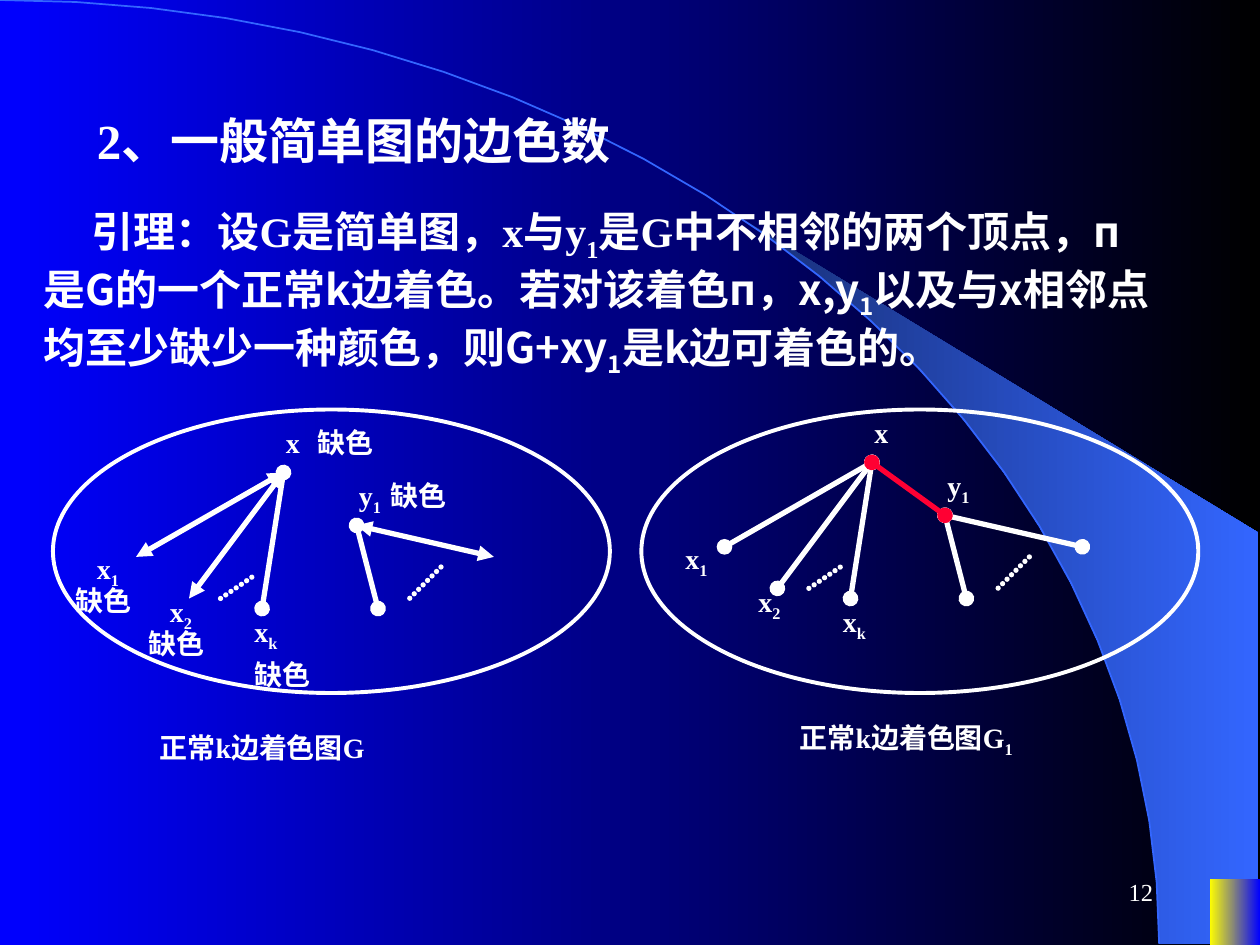
from math import acos, cos, pi, sin

from lxml.etree import SubElement
from pptx import Presentation
from pptx.dml.color import RGBColor
from pptx.enum.shapes import MSO_CONNECTOR as CONN, MSO_SHAPE as SHAPE
from pptx.enum.text import MSO_ANCHOR as ANCHOR, PP_ALIGN as ALIGN
from pptx.oxml.ns import qn
from pptx.util import Inches, Pt

WHITE = RGBColor(0xFF, 0xFF, 0xFF)
BLACK = RGBColor(0x00, 0x00, 0x00)
BLUE = RGBColor(0x00, 0x00, 0xFF)
YELLOW = RGBColor(0xFF, 0xFF, 0x00)
RED = RGBColor(0xFF, 0x00, 0x33)
NAVY = RGBColor(0x18, 0x2F, 0x76)
SKY = RGBColor(0x33, 0x66, 0xFF)
SERIF, SANS = "Times New Roman", "Noto Sans CJK SC"

# Graph geometry, in inches from the corner of the ellipse's box
VERTICES = {"x": (1.83, 0.5), "x1": (0.66, 1.17), "x2": (1.08, 1.5), "xk": (1.66, 1.58),
            "y1": (2.41, 0.92), "right": (3.5, 1.17), "low": (2.58, 1.58)}
EDGES = [("x", "x1"), ("x", "x2"), ("y1", "right"), ("y1", "low"), ("x", "xk")]
ARROW_EDGES = EDGES[:3]
DOTTED = [((1.33, 1.5), (1.58, 1.33)), ((3.08, 1.25), (2.83, 1.5))]
LABELS = [("x", "1", 0.25, 1.08), ("y", "1", 2.33, 0.5), ("x", "", 1.75, 0.08),
          ("x", "2", 0.83, 1.42), ("x", "k", 1.5, 1.58)]
MISSING = [(2, 0.08), (2.58, 0.5), (0.08, 1.33), (0.66, 1.67), (1.5, 1.92)]


def set_gradient(fill, start, end):
    fill.gradient()
    fill.gradient_angle = 0
    for stop, color, pos in zip(fill.gradient_stops, (start, end), (0, 1)):
        stop.color.rgb = color
        stop.position = pos


def add_text(sl, box, runs, size=16, bold=True, indent=0, spacing=None, align=ALIGN.LEFT):
    """Each run is (text, is_subscript, latin font)."""
    tf = sl.shapes.add_textbox(*map(Inches, box)).text_frame
    tf.word_wrap = True
    p = tf.paragraphs[0]
    p.alignment = align
    if spacing:
        p.line_spacing = Pt(spacing)
    pPr = p._p.get_or_add_pPr()
    pPr.set("hangingPunct", "0")
    if indent:
        pPr.set("indent", str(Inches(indent)))
    for text, is_sub, font in runs:
        r = p.add_run()
        r.text = text
        for name, value in {"size": Pt(size), "bold": bold, "name": font}.items():
            setattr(r.font, name, value)
        r.font.color.rgb = WHITE
        rPr = r._r.get_or_add_rPr()
        SubElement(rPr, qn("a:ea")).set("typeface", SANS)
        if is_sub:
            rPr.set("baseline", "-25000")
    return tf


def add_line(sl, start, end, color=WHITE, ends=None, dotted=False):
    ln = sl.shapes.add_connector(CONN.STRAIGHT, *map(Inches, (*start, *end)))
    ln.line.color.rgb = color
    ln.line.width = Pt(3)
    xml = ln.line._get_or_add_ln()
    if dotted:
        xml.set("cap", "rnd")
        dash = SubElement(SubElement(xml, qn("a:custDash")), qn("a:ds"))
        dash.set("d", "100000")
        dash.set("sp", "20000")
    if ends:
        for tag in ("a:headEnd", "a:tailEnd"):
            SubElement(xml, qn(tag)).set("type", ends)
    SubElement(ln._element.spPr, qn("a:effectLst"))


def draw_curve(sl, points, close):
    pts = [(Inches(x), Inches(y)) for x, y in points]
    fb = sl.shapes.build_freeform(*pts[0])
    fb.add_line_segments(pts[1:], close=close)
    sp = fb.convert_to_shape()
    sp.shadow.inherit = False
    return sp


def draw_backdrop(sl, left, top, width, height):
    """Gradient, quarter-ellipse arc with a swoosh beside it, corner block."""
    set_gradient(sl.background.fill, BLUE, BLACK)
    rx, ry = 9.2, 7.49

    def arc(first, steps):
        angles = [first * (1 - i / steps) for i in range(steps + 1)]
        return [(left + rx * cos(a), top + ry * (1 - sin(a))) for a in angles]

    edge = left + width - 0.01
    corners = [(edge, top + ry), (edge, top + 4.23)]
    swoosh = draw_curve(sl, arc(acos(5.89 / rx), 14) + corners, True)
    set_gradient(swoosh.fill, NAVY, SKY)
    swoosh.line.fill.background()

    curve = draw_curve(sl, arc(pi / 2, 24), False)
    curve.fill.background()
    curve.line.color.rgb = SKY
    curve.line.width = Pt(1)

    block = sl.shapes.add_shape(SHAPE.RECTANGLE, Inches(left + width - 0.4),
                                Inches(top + height - 0.52), Inches(0.4), Inches(0.52))
    block.shadow.inherit = False
    set_gradient(block.fill, YELLOW, BLUE)
    block.line.fill.background()


def draw_lemma(sl, left, top, width):
    """Heading and the statement of the lemma."""
    add_text(sl, (left, top, width - 0.5, 0.57), [("2、一般简单图的边色数", False, SERIF)],
             size=28, indent=0.42)
    runs = [("引理：设G是简单图，x与y", False, SERIF), ("1", True, SERIF),
            ("是G中不相邻的两个顶点，", False, SERIF),
            ("п是G的一个正常k边着色。若对该着色п，x,y", False, SANS), ("1", True, SANS),
            ("以及与x相邻点均至少缺少一种颜色，则G+xy", False, SANS), ("1", True, SANS),
            ("是k边可着色的。", False, SANS)]
    add_text(sl, (left, top + 0.75, width, 1.47), runs, size=24, indent=0.38, spacing=33)


def draw_graph(sl, left, top, caption, caption_x, shift=0, joined=False):
    """Graph in an ellipse; joined adds the edge x-y1 instead of missing colours."""
    def at(x, y):
        return left + x, top + y + shift

    oval = sl.shapes.add_shape(SHAPE.OVAL, *map(Inches, (left, top, 4.42, 2.25)))
    oval.shadow.inherit = False
    oval.fill.background()
    oval.line.color.rgb = WHITE
    oval.line.width = Pt(2.25)

    # Edges and the dots between them
    for edge in EDGES:
        ends = "triangle" if edge in ARROW_EDGES and not joined else "oval"
        add_line(sl, *(at(*VERTICES[v]) for v in edge), ends=ends)
    for start, end in DOTTED:
        add_line(sl, at(*start), at(*end), dotted=True)
    if joined:
        add_line(sl, at(*VERTICES["x"]), at(*VERTICES["y1"]), RED, "oval")

    # Labels
    for name, sub, x, y in LABELS:
        runs = [(name, False, SERIF)] + ([(sub, True, SERIF)] if sub else [])
        add_text(sl, (*at(x, y), 0.52 if sub else 0.35, 0.41), runs)
    if not joined:
        for x, y in MISSING:
            add_text(sl, (*at(x, y), 0.67, 0.37), [("缺色", False, SERIF)])
    add_text(sl, (*at(caption_x, 2.5), 2.33, 0.41), caption)


def main():
    prs = Presentation()
    prs.slide_width, prs.slide_height = Inches(10), Inches(7.5)
    sl = prs.slides.add_slide(prs.slide_layouts[6])
    draw_backdrop(sl, 0, 0, 10, 7.5)
    tf = add_text(sl, (7.17, 6.83, 2.08, 0.5), [("12", False, SERIF)],
                  size=14, bold=False, align=ALIGN.RIGHT)
    tf.vertical_anchor = ANCHOR.MIDDLE
    draw_lemma(sl, 0.25, 0.83, 9)
    caption = [("正常k边着色图G", False, SERIF)]
    draw_graph(sl, 0.42, 3.25, caption, 0.75)
    draw_graph(sl, 5.09, 3.25, caption + [("1", True, SERIF)], 1.16, shift=-0.08, joined=True)
    prs.save("out.pptx")


if __name__ == "__main__":
    main()
